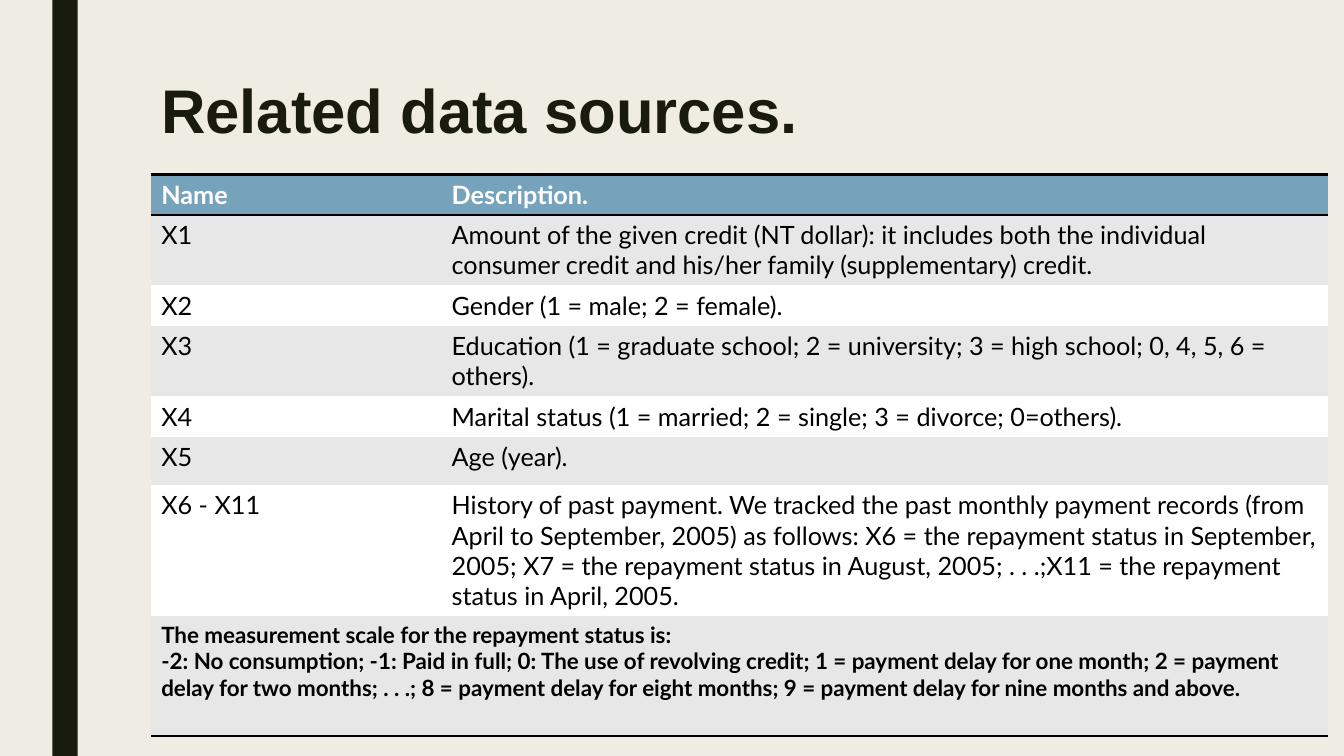
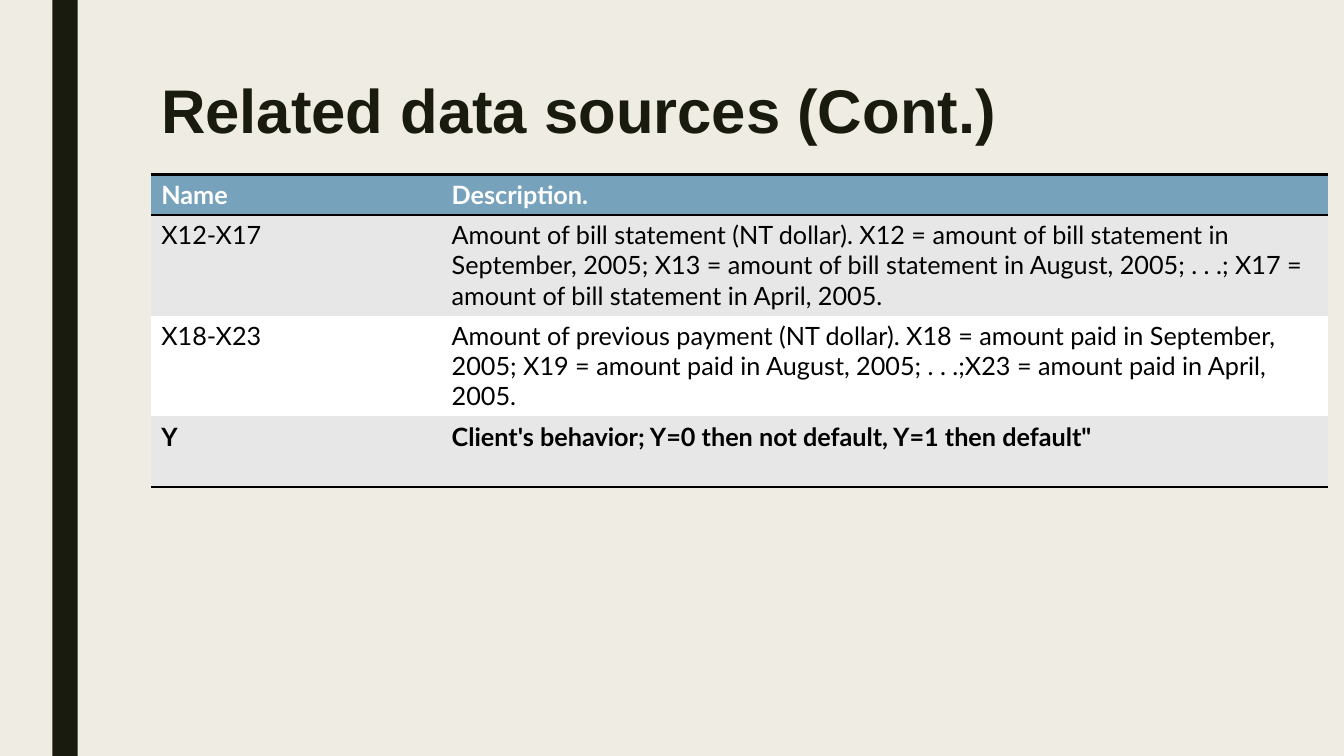
from dataclasses import dataclass

from lxml import etree
from pptx import Presentation
from pptx.dml.color import RGBColor
from pptx.enum.shapes import MSO_SHAPE
from pptx.enum.text import MSO_ANCHOR
from pptx.oxml.ns import qn
from pptx.util import Inches, Pt

RECTANGLE = MSO_SHAPE.RECTANGLE
TOP = MSO_ANCHOR.TOP

# Shared look
PAGE_WIDTH, PAGE_HEIGHT = Inches(13.33), Inches(7.5)
PAPER, INK = "EFEDE3", "191B0E"
HEADER_FILL, STRIPES = "77A2BB", ("E7E7E7", "FFFFFF")
WHITE, BLACK = "FFFFFF", "000000"
TITLE_FONT, TABLE_FONT = "Arial", "Lato"
TITLE_SIZE, TABLE_SIZE, NOTE_SIZE = 44, 18, 16
RULE_WIDTH = 2
PLAIN_TABLE_STYLE = "{2D5ABB26-0587-4C30-8999-92F81FD0307C}"

# Shared layout, in inches
BAND_LEFT, BAND_WIDTH = 0.52, 0.25
CONTENT_LEFT, CONTENT_WIDTH = 1.5, 11.67
TITLE_TOP, TITLE_HEIGHT = 0.75, 1.14
TABLE_TOP = 1.73
NAME_WIDTH = 2.88


@dataclass(frozen=True)
class Row:
    """One table row; without a description, the name spans both columns."""
    name: str
    description: str = ""
    height: float = 0.4
    size: int = TABLE_SIZE
    bold: bool = False


@dataclass(frozen=True)
class DataPage:
    title: str
    rows: tuple[Row, ...]


HEADER = Row("Name", "Description.", bold=True)

PAGES = (
    DataPage("Related data sources.", (
        Row("X1", "Amount of the given credit (NT dollar): it includes both the "
            "individual consumer credit and his/her family (supplementary) "
            "credit.", 0.7),
        Row("X2", "Gender (1 = male; 2 = female)."),
        Row("X3", "Education (1 = graduate school; 2 = university; 3 = high "
            "school; 0, 4, 5, 6 = others).", 0.7),
        Row("X4", "Marital status (1 = married; 2 = single; 3 = divorce; "
            "0=others)."),
        Row("X5", "Age (year).", 0.48),
        Row("X6 - X11", "History of past payment. We tracked the past monthly "
            "payment records (from April to September, 2005) as follows: "
            "X6 = the repayment status in September, 2005; X7 = the repayment "
            "status in August, 2005; . . .;X11 = the repayment status in "
            "April, 2005.", 1.3),
        Row("The measurement scale for the repayment status is:\n"
            "-2: No consumption; -1: Paid in full; 0: The use of revolving "
            "credit; 1 = payment delay for one month; 2 = payment delay for two "
            "months; . . .; 8 = payment delay for eight months; 9 = payment "
            "delay for nine months and above.",
            height=1.19, size=NOTE_SIZE, bold=True),
    )),
    DataPage("Related data sources (Cont.)", (
        Row("X12-X17", "Amount of bill statement (NT dollar). X12 = amount of "
            "bill statement in September, 2005; X13 = amount of bill statement "
            "in August, 2005; . . .; X17 = amount of bill statement in April, "
            "2005.", 1.0),
        Row("X18-X23", "Amount of previous payment (NT dollar). X18 = amount "
            "paid in September, 2005; X19 = amount paid in August, 2005; "
            ". . .;X23 = amount paid in April, 2005.", 1.0),
        Row("Y", "Client's behavior; Y=0 then not default, Y=1 then default\"",
            0.7, bold=True),
    )),
)


def color(hex_value: str) -> RGBColor:
    return RGBColor.from_string(hex_value)


def style_text(frame, font: str, size: int, ink: str, bold: bool) -> None:
    for para in frame.paragraphs:
        for span in para.runs:
            span.font.name = font
            span.font.size = Pt(size)
            span.font.color.rgb = color(ink)
            span.font.bold = bold


def add_rule(cell, edge: str) -> None:
    """Draw a black rule on one edge of a cell: lnT or lnB."""
    line = etree.SubElement(cell._tc.get_or_add_tcPr(), qn(f"a:{edge}"),
                            w=str(Pt(RULE_WIDTH)))
    fill = etree.SubElement(line, qn("a:solidFill"))
    etree.SubElement(fill, qn("a:srgbClr"), val=BLACK)


def add_band(page) -> None:
    band = page.shapes.add_shape(RECTANGLE, Inches(BAND_LEFT), 0,
                                 Inches(BAND_WIDTH), PAGE_HEIGHT)
    band.shadow.inherit = False
    band.fill.solid()
    band.fill.fore_color.rgb = color(INK)
    band.line.fill.background()


def add_title(page, text: str) -> None:
    box = page.shapes.add_textbox(Inches(CONTENT_LEFT), Inches(TITLE_TOP),
                                  Inches(CONTENT_WIDTH), Inches(TITLE_HEIGHT))
    frame = box.text_frame
    frame.word_wrap = True
    frame.vertical_anchor = TOP
    frame.text = text
    frame.paragraphs[0].line_spacing = 0.89
    style_text(frame, TITLE_FONT, TITLE_SIZE, INK, True)


def add_data_table(page, body: tuple[Row, ...]) -> None:
    rows = (HEADER, *body)
    height = sum(row.height for row in rows)
    table = page.shapes.add_table(
        len(rows), 2, Inches(CONTENT_LEFT), Inches(TABLE_TOP),
        Inches(CONTENT_WIDTH), Inches(height)).table
    table._tbl.tblPr.find(qn("a:tableStyleId")).text = PLAIN_TABLE_STYLE
    table.horz_banding = False
    table.columns[0].width = Inches(NAME_WIDTH)
    table.columns[1].width = Inches(CONTENT_WIDTH - NAME_WIDTH)

    for index, row in enumerate(rows):
        is_header = index == 0
        is_last = index == len(rows) - 1
        table.rows[index].height = Inches(row.height)
        if not row.description:
            table.cell(index, 0).merge(table.cell(index, 1))
        for column, text in enumerate((row.name, row.description)):
            cell = table.cell(index, column)
            # Rules come before the fill in the cell properties
            if is_header:
                add_rule(cell, "lnT")
            if is_header or is_last:
                add_rule(cell, "lnB")
            cell.fill.solid()
            cell.fill.fore_color.rgb = color(
                HEADER_FILL if is_header else STRIPES[(index - 1) % 2])
            if text:
                cell.text_frame.text = text
                style_text(cell.text_frame, TABLE_FONT, row.size,
                           WHITE if is_header else BLACK, row.bold)


def build_deck() -> None:
    deck = Presentation()
    deck.slide_width, deck.slide_height = PAGE_WIDTH, PAGE_HEIGHT
    background = deck.slide_master.background.fill
    background.solid()
    background.fore_color.rgb = color(PAPER)
    blank = deck.slide_layouts[6]
    for data_page in PAGES:
        page = deck.slides.add_slide(blank)
        add_band(page)
        add_title(page, data_page.title)
        add_data_table(page, data_page.rows)
    deck.save("out.pptx")


build_deck()
